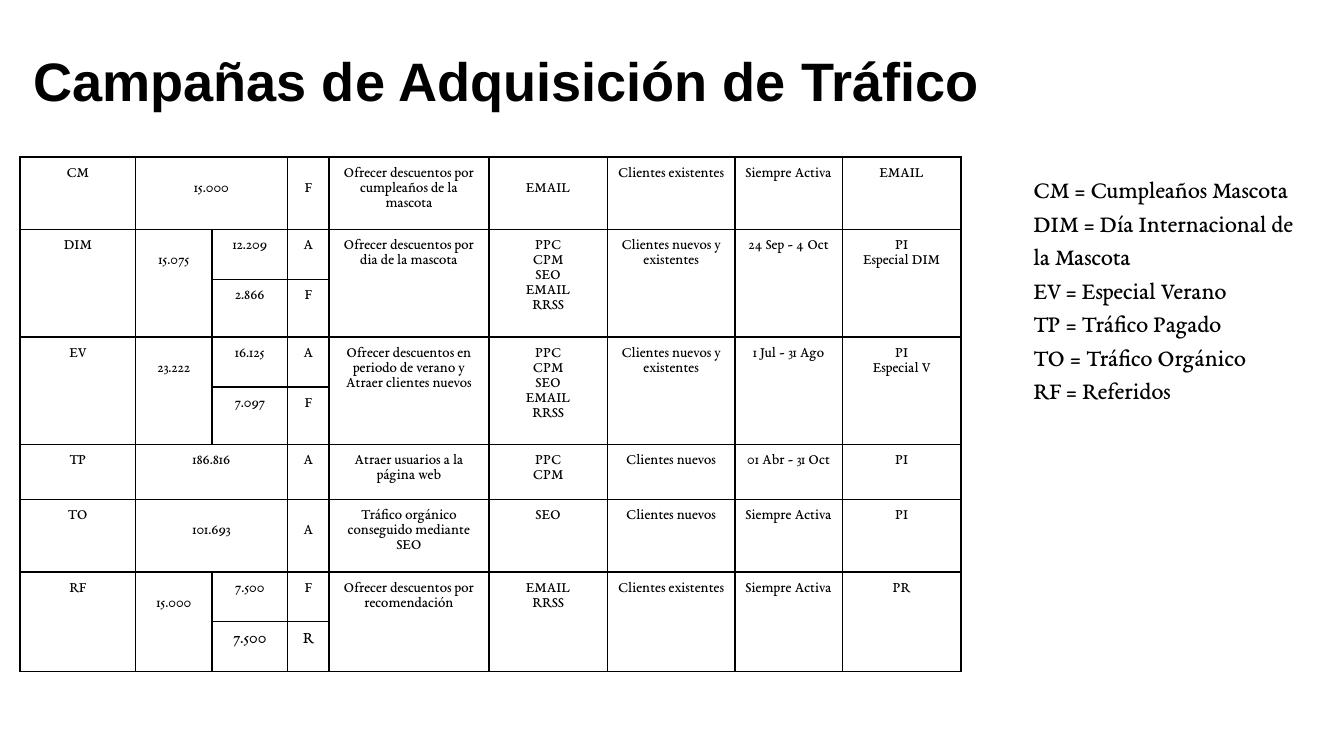
from dataclasses import dataclass

from lxml.etree import SubElement
from pptx import Presentation
from pptx.dml.color import RGBColor
from pptx.enum.text import MSO_ANCHOR, PP_ALIGN
from pptx.oxml.ns import qn
from pptx.slide import Slide
from pptx.table import Table, _Cell
from pptx.text.text import TextFrame
from pptx.util import Cm, Pt

COLORS = {"ink": "000000"}
TITLE_FONT = "Arial"
BODY_FONT = "EB Garamond"
COLUMN_WIDTHS = [2.18, 1.45, 1.42, 0.79, 3.02, 2.24, 2.41, 2.03, 2.24]
ROW_HEIGHTS = [1.37, 0.94, 1.09, 0.94, 1.09, 1.04, 1.37, 0.94, 0.94]
CELL_MARGIN = 0.18
LOWERED_MARGIN = 0.46
CODE, TOTAL, AMOUNT, KIND, GOAL, CHANNELS, AUDIENCE, DATES, PAGE = range(9)


@dataclass(frozen=True)
class Share:
    amount: str
    kind: str
    size: float = 8


@dataclass(frozen=True)
class Campaign:
    code: str
    total: str
    shares: tuple[Share, ...]
    goal: str
    channels: tuple[str, ...]
    audience: str
    dates: str
    page: tuple[str, ...]
    lowered: tuple[int, ...] = (TOTAL,)


@dataclass(frozen=True)
class TextBlock:
    left: float
    top: float
    width: float
    height: float
    lines: tuple[str, ...]
    font: str
    size: float
    bold: bool = False


ALL_CHANNELS = ("PPC", "CPM", "SEO", "EMAIL", "RRSS")

CAMPAIGNS = [
    Campaign("CM", "15.000", (Share("", "F"),),
             "Ofrecer descuentos por cumpleaños de la mascota", ("EMAIL",),
             "Clientes existentes", "Siempre Activa", ("EMAIL",),
             (TOTAL, KIND, CHANNELS)),
    Campaign("DIM", "15.075", (Share("12.209", "A"), Share("2.866", "F")),
             "Ofrecer descuentos por dia de la mascota", ALL_CHANNELS,
             "Clientes nuevos y existentes", "24 Sep - 4 Oct",
             ("PI", "Especial DIM")),
    Campaign("EV", "23.222", (Share("16.125", "A"), Share("7.097", "F")),
             "Ofrecer descuentos en periodo de verano y Atraer clientes nuevos",
             ALL_CHANNELS, "Clientes nuevos y existentes", "1 Jul - 31 Ago",
             ("PI", "Especial V")),
    Campaign("TP", "186.816", (Share("", "A"),),
             "Atraer usuarios a la página web", ("PPC", "CPM"),
             "Clientes nuevos", "01 Abr - 31 Oct", ("PI",), ()),
    Campaign("TO", "101.693", (Share("", "A"),),
             "Tráfico orgánico conseguido mediante SEO", ("SEO",),
             "Clientes nuevos", "Siempre Activa", ("PI",), (TOTAL, KIND)),
    Campaign("RF", "15.000", (Share("7.500", "F"), Share("7.500", "R", 9)),
             "Ofrecer descuentos por recomendación", ("EMAIL", "RRSS"),
             "Clientes existentes", "Siempre Activa", ("PR",)),
]

TITLE = TextBlock(0.38, 0.46, 22.1, 1.75,
                  ("Campañas de Adquisición de Tráfico",), TITLE_FONT, 29, True)
LEGEND = TextBlock(19.28, 2.97, 5.72, 11.05, (
    "CM = Cumpleaños Mascota",
    "DIM = Día Internacional de la Mascota",
    "EV = Especial Verano",
    "TP = Tráfico Pagado",
    "TO = Tráfico Orgánico",
    "RF = Referidos",
), BODY_FONT, 13)


def write_lines(frame: TextFrame, lines: tuple[str, ...], font: str, size: float,
                spacing: float | Pt, alignment: PP_ALIGN, bold: bool = False) -> None:
    for index, line in enumerate(lines):
        paragraph = frame.add_paragraph() if index else frame.paragraphs[0]
        paragraph.alignment = alignment
        paragraph.line_spacing = spacing
        run = paragraph.add_run()
        run.text = line
        run.font.name = font
        run.font.size = Pt(size)
        run.font.bold = bold
        run.font.color.rgb = RGBColor.from_string(COLORS["ink"])


def draw_text(slide: Slide, block: TextBlock) -> None:
    shape = slide.shapes.add_textbox(
        Cm(block.left), Cm(block.top), Cm(block.width), Cm(block.height))
    frame = shape.text_frame
    frame.word_wrap = True
    frame.margin_left = frame.margin_right = Cm(0.25)
    frame.margin_top = frame.margin_bottom = Cm(0.25)
    write_lines(frame, block.lines, block.font, block.size, 1.15,
                PP_ALIGN.LEFT, block.bold)


def style_cell(cell: _Cell) -> None:
    properties = cell._tc.get_or_add_tcPr()
    for side in ("a:lnL", "a:lnR", "a:lnT", "a:lnB"):
        line = SubElement(properties, qn(side), w=str(Pt(1)))
        fill = SubElement(line, qn("a:solidFill"))
        SubElement(fill, qn("a:srgbClr"), val=COLORS["ink"])
    cell.fill.background()
    cell.vertical_anchor = MSO_ANCHOR.TOP
    cell.margin_left = cell.margin_right = Cm(CELL_MARGIN)
    cell.margin_top = cell.margin_bottom = Cm(CELL_MARGIN)


def fill_cell(cell: _Cell, lines: tuple[str, ...], lowered: bool,
              size: float = 8) -> None:
    if lowered:
        cell.margin_top = Cm(LOWERED_MARGIN)
    write_lines(cell.text_frame, lines, BODY_FONT, size, Pt(size), PP_ALIGN.CENTER)


def draw_campaign(table: Table, row: int, campaign: Campaign) -> None:
    last_row = row + len(campaign.shares) - 1
    split = last_row > row
    shared = {
        CODE: (campaign.code,), TOTAL: (campaign.total,), GOAL: (campaign.goal,),
        CHANNELS: campaign.channels, AUDIENCE: (campaign.audience,),
        DATES: (campaign.dates,), PAGE: campaign.page,
    }
    for column, lines in shared.items():
        cell = table.cell(row, column)
        if split:
            cell.merge(table.cell(last_row, column))
        elif column == TOTAL:
            cell.merge(table.cell(row, AMOUNT))
        fill_cell(cell, lines, column in campaign.lowered)
    for offset, share in enumerate(campaign.shares):
        if split:
            fill_cell(table.cell(row + offset, AMOUNT), (share.amount,), False, share.size)
        fill_cell(table.cell(row + offset, KIND), (share.kind,),
                  KIND in campaign.lowered, share.size)


def draw_table(slide: Slide) -> None:
    frame = slide.shapes.add_table(
        len(ROW_HEIGHTS), len(COLUMN_WIDTHS), Cm(0.38), Cm(2.97),
        Cm(sum(COLUMN_WIDTHS)), Cm(sum(ROW_HEIGHTS)))
    table = frame.table
    table.first_row = False
    table.horz_banding = False
    for column, width in zip(table.columns, COLUMN_WIDTHS):
        column.width = Cm(width)
    for row, height in zip(table.rows, ROW_HEIGHTS):
        row.height = Cm(height)
    for cell in table.iter_cells():
        style_cell(cell)
    row_index = 0
    for campaign in CAMPAIGNS:
        draw_campaign(table, row_index, campaign)
        row_index += len(campaign.shares)


def main() -> None:
    presentation = Presentation()
    presentation.slide_width = Cm(25.4)
    presentation.slide_height = Cm(14.29)
    slide = presentation.slides.add_slide(presentation.slide_layouts[6])
    draw_text(slide, TITLE)
    draw_text(slide, LEGEND)
    draw_table(slide)
    presentation.save("out.pptx")


if __name__ == "__main__":
    main()
